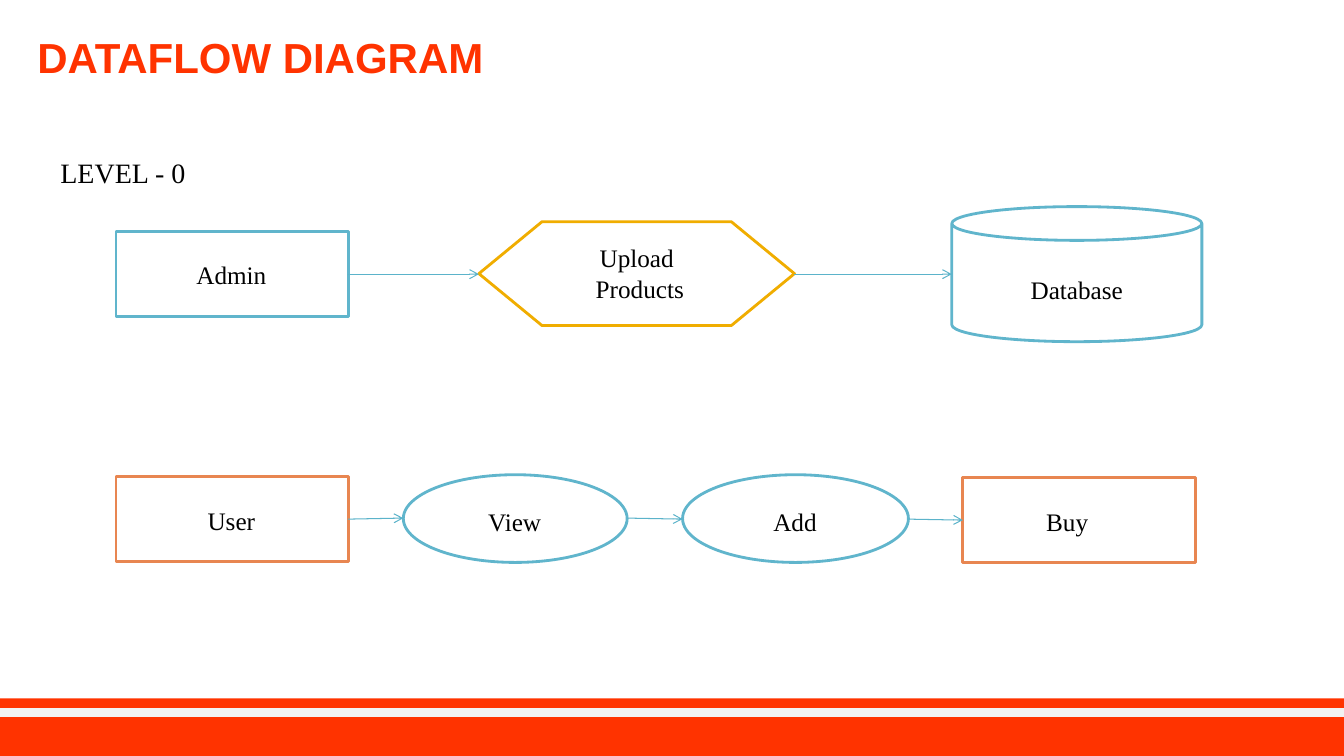
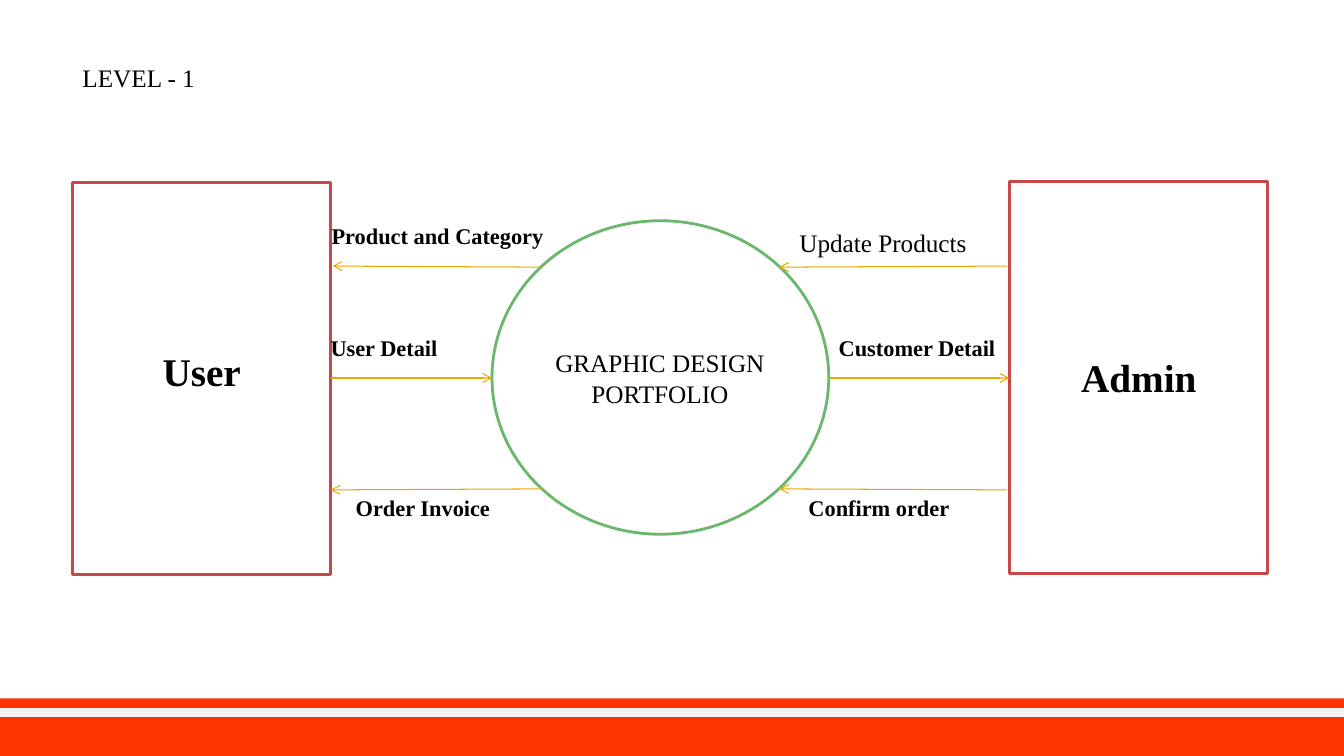
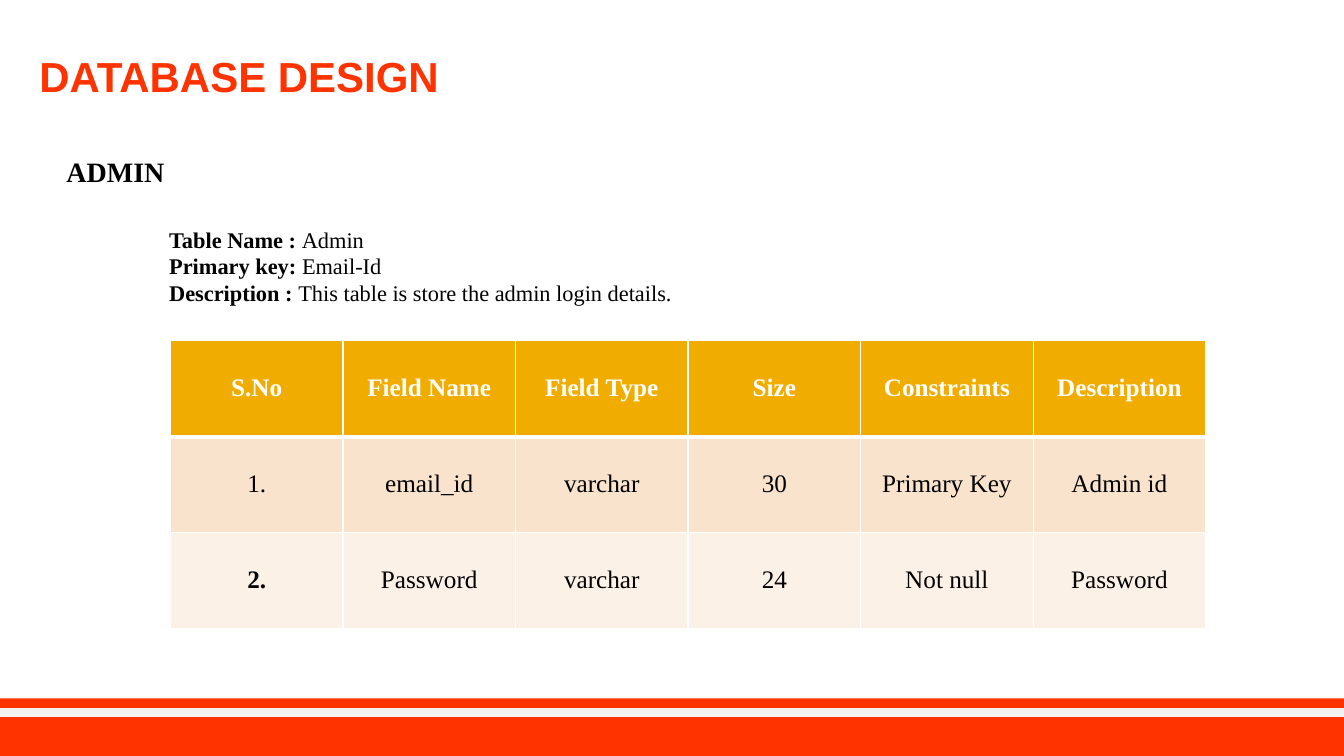
from itertools import product

from lxml import etree
from pptx import Presentation
from pptx.dml.color import RGBColor
from pptx.enum.shapes import MSO_CONNECTOR, MSO_SHAPE
from pptx.enum.text import MSO_ANCHOR, MSO_AUTO_SIZE, PP_ALIGN
from pptx.oxml.ns import qn
from pptx.util import Inches, Pt

COLORS = {
    "brand": "FF3300", "stripe": "F2F2F2", "white": "FFFFFF", "black": "000000",
    "blue": "60B5CC", "blue_arrow": "5BB3CA", "gold": "F0AD00", "gold_arrow": "EBA900",
    "orange": "E88651", "red": "C64847", "green": "6BB76D",
    "row_dark": "F9E3CC", "row_light": "FCF1E7",
}
RGB = {name: RGBColor.from_string(value) for name, value in COLORS.items()}


def write(frame, text, size=18, bold=False, color="black", font="Times New Roman",
          align=PP_ALIGN.LEFT, spacing=None):
    """Each line is a string, or a (bold lead, regular rest) pair."""
    frame.word_wrap = True
    for number, line in enumerate(text.split("\n") if isinstance(text, str) else text):
        paragraph = frame.paragraphs[0] if number == 0 else frame.add_paragraph()
        paragraph.alignment = align
        paragraph.line_spacing = spacing
        parts = [(line, bold)] if isinstance(line, str) else zip(line, (True, False))
        for words, heavy in parts:
            run = paragraph.add_run()
            run.text = words
            run.font.name, run.font.size, run.font.bold = font, Pt(size), heavy
            run.font.color.rgb = RGB[color]


def draw_line(slide, start, end, color, width=0.75, arrow=True):
    line = slide.shapes.add_connector(
        MSO_CONNECTOR.STRAIGHT, *(Inches(value) for value in (*start, *end)))
    line.line.color.rgb = RGB[color]
    line.line.width = Pt(width)
    properties = line._element.spPr
    if arrow:
        etree.SubElement(properties.find(qn("a:ln")), qn("a:tailEnd"), type="arrow")
    etree.SubElement(properties, qn("a:effectLst"))


deck = Presentation()
deck.slide_width, deck.slide_height = Inches(13.33), Inches(7.5)
level_0, level_1, database = [deck.slides.add_slide(deck.slide_layouts[6]) for _ in range(3)]

# Footer band on every slide
for slide in deck.slides:
    band = slide.shapes.add_shape(
        MSO_SHAPE.RECTANGLE, Inches(-0.02), Inches(6.93), Inches(13.36), Inches(0.57))
    band.shadow.inherit = False
    band.fill.solid()
    band.fill.fore_color.rgb = RGB["brand"]
    band.line.fill.background()
    draw_line(slide, (-0.02, 7.07), (13.33, 7.07), "stripe", width=6, arrow=False)

# Titles
for slide, left, top, title in [
    (level_0, 0.23, 0.18, "DATAFLOW DIAGRAM"),
    (database, 0.25, 0.37, "DATABASE DESIGN"),
]:
    heading = slide.shapes.add_textbox(Inches(left), Inches(top), Inches(10.56), Inches(0.83))
    frame = heading.text_frame
    frame.vertical_anchor = MSO_ANCHOR.MIDDLE
    frame.margin_left = frame.margin_right = Inches(0.14)
    frame.margin_top = frame.margin_bottom = Inches(0.07)
    write(frame, title, size=30, bold=True, color="brand", font="Arial", spacing=0.9)

# Diagram nodes
for slide, kind, left, top, width, height, outline in [
    (level_0, MSO_SHAPE.RECTANGLE, 1.15, 2.3, 2.31, 0.84, "blue"),
    (level_0, MSO_SHAPE.FLOWCHART_PREPARATION, 4.75, 2.2, 3.13, 1.03, "gold"),
    (level_0, MSO_SHAPE.CAN, 9.44, 2.05, 2.48, 1.34, "blue"),
    (level_0, MSO_SHAPE.RECTANGLE, 1.15, 4.73, 2.31, 0.84, "orange"),
    (level_0, MSO_SHAPE.OVAL, 4, 4.71, 2.22, 0.87, "blue"),
    (level_0, MSO_SHAPE.OVAL, 6.77, 4.71, 2.24, 0.87, "blue"),
    (level_0, MSO_SHAPE.RECTANGLE, 9.55, 4.74, 2.31, 0.84, "orange"),
    (level_1, MSO_SHAPE.RECTANGLE, 0.72, 1.81, 2.56, 3.89, "red"),
    (level_1, MSO_SHAPE.RECTANGLE, 10.01, 1.8, 2.56, 3.89, "red"),
    (level_1, MSO_SHAPE.OVAL, 4.88, 2.19, 3.34, 3.11, "green"),
]:
    node = slide.shapes.add_shape(
        kind, Inches(left), Inches(top), Inches(width), Inches(height))
    node.shadow.inherit = False
    node.fill.solid()
    node.fill.fore_color.rgb = RGB["white"]
    node.line.color.rgb = RGB[outline]
    node.line.width = Pt(2)

# Flow arrows
for start, end in [
    ((3.45, 2.72), (4.75, 2.72)), ((7.88, 2.72), (9.44, 2.72)),
    ((3.45, 5.15), (4, 5.14)), ((6.22, 5.14), (6.77, 5.15)), ((9, 5.15), (9.55, 5.16)),
]:
    draw_line(level_0, start, end, "blue_arrow")
for start, end in [
    ((5.37, 2.65), (3.3, 2.64)), ((3.28, 3.75), (4.88, 3.75)), ((5.37, 4.85), (3.28, 4.86)),
    ((9.99, 2.64), (7.73, 2.65)), ((8.22, 3.75), (10.01, 3.75)), ((9.99, 4.86), (7.73, 4.85)),
]:
    draw_line(level_1, start, end, "gold_arrow")

# Labels
centered = {"align": PP_ALIGN.CENTER}
actor = {"size": 28, "bold": True, "align": PP_ALIGN.CENTER}
flow = {"size": 16, "bold": True}
table_facts = [
    ("Table Name : ", "Admin"),
    ("Primary key: ", "Email-Id"),
    ("Description : ", "This table is store the admin login details."),
]
for slide, left, top, width, text, style in [
    (level_0, 0.5, 1.49, 2.95, "LEVEL - 0", {"size": 20}),
    (level_0, 1.63, 2.52, 1.33, "Admin", centered),
    (level_0, 5.65, 2.36, 1.33, "Upload\n Products", centered),
    (level_0, 9.77, 2.67, 1.82, "Database", centered),
    (level_0, 1.63, 4.96, 1.33, "User", centered),
    (level_0, 4.44, 4.97, 1.33, "View", centered),
    (level_0, 7.22, 4.97, 1.33, "Add", centered),
    (level_0, 9.92, 4.97, 1.33, "Buy", centered),
    (level_1, 0.72, 0.57, 2.83, "LEVEL - 1", {}),
    (level_1, 0.91, 3.4, 2.18, "User", actor),
    (level_1, 10.15, 3.46, 2.29, "Admin", actor),
    (level_1, 5.37, 3.4, 2.35, "GRAPHIC DESIGN\nPORTFOLIO", centered),
    (level_1, 3.19, 2.15, 2.33, "Product and Category", flow),
    (level_1, 3.18, 3.27, 2.09, "User Detail", flow),
    (level_1, 3.43, 4.85, 2.09, "Order Invoice", flow),
    (level_1, 7.83, 2.21, 2.26, "Update Products", {}),
    (level_1, 8.22, 3.27, 2.09, "Customer Detail", flow),
    (level_1, 7.92, 4.85, 2.09, "Confirm order", flow),
    (database, 0.56, 1.48, 1.7, "ADMIN", {"size": 20, "bold": True}),
    (database, 1.58, 2.19, 7.4, table_facts, {"size": 16}),
]:
    line_count = len(text.split("\n") if isinstance(text, str) else text)
    height = 0.1 + line_count * style.get("size", 18) * 1.2 / 72
    label = slide.shapes.add_textbox(
        Inches(left), Inches(top), Inches(width), Inches(height))
    write(label.text_frame, text, **style)
    label.text_frame.auto_size = MSO_AUTO_SIZE.SHAPE_TO_FIT_TEXT

# Field table
fields = [
    ["S.No", "Field Name", "Field Type", "Size", "Constraints", "Description"],
    ["1.", "email_id", "varchar", "30", "Primary Key", "Admin id"],
    ["2.", "Password", "varchar", "24", "Not null", "Password"],
]
row_fills = ["gold", "row_dark", "row_light"]
field_table = database.shapes.add_table(
    3, 6, Inches(1.69), Inches(3.38), Inches(10.27), Inches(2.86)).table
for row, column in product(range(3), range(6)):
    cell = field_table.cell(row, column)
    cell.vertical_anchor = MSO_ANCHOR.MIDDLE
    for side in ("L", "R", "T", "B"):
        below_header = (row, side) in [(0, "B"), (1, "T")]
        border = etree.SubElement(cell._tc.get_or_add_tcPr(), qn(f"a:ln{side}"),
                                  w=str(Pt(3 if below_header else 1)))
        border_fill = etree.SubElement(border, qn("a:solidFill"))
        etree.SubElement(border_fill, qn("a:srgbClr"), val=COLORS["white"])
    cell.fill.solid()
    cell.fill.fore_color.rgb = RGB[row_fills[row]]
    write(cell.text_frame, fields[row][column], bold=row == 0 or (row, column) == (2, 0),
          color="white" if row == 0 else "black", align=PP_ALIGN.CENTER, spacing=0.9)

deck.save("out.pptx")
